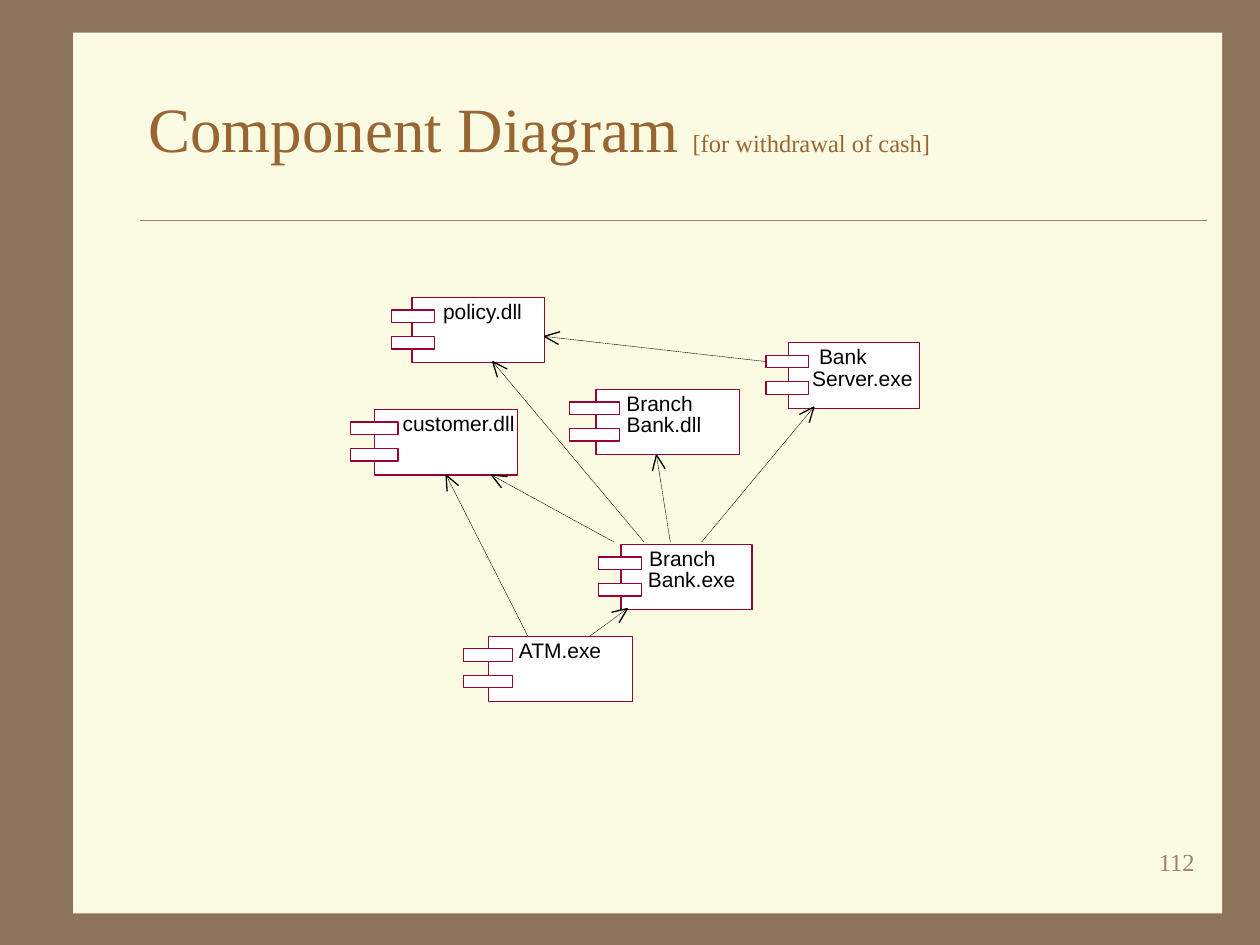
import math
from dataclasses import dataclass

import pptx
import pptx.dml.color
import pptx.enum.dml
import pptx.enum.shapes
import pptx.enum.text
import pptx.oxml.ns
import pptx.util
from lxml import etree
from pptx.util import Inches

ALIGN = pptx.enum.text.PP_ALIGN
ANCHOR = pptx.enum.text.MSO_ANCHOR
AUTO_SIZE = pptx.enum.text.MSO_AUTO_SIZE


@dataclass(frozen=True)
class Theme:
    frame: str = "8C735A"
    paper: str = "FBFAE2"
    rule: str = "A08366"
    title: str = "996633"
    outline: str = "990033"
    white: str = "FFFFFF"
    ink: str = "000000"
    serif: str = "Times New Roman"
    sans: str = "Arial"
    title_size: int = 36
    gap_size: int = 32
    note_size: int = 14
    label_size: int = 12
    stroke: float = 0.75
    hairline: float = 0.25


THEME = Theme()
BODY_H = 0.52
TAB_H = 0.1
TAB_OFFSETS = (0.1, 0.31)
LABEL_H, LABEL_PITCH = 0.2, 0.17
BARB_LENGTH, BARB_SPREAD = 0.13, math.radians(23)

# name: (left, top, width), (tab left, tab width), [(label line, left, width)]
COMPONENTS = {
    "policy": ((3.27, 2.36, 1.05), (3.11, 0.34), [("policy.dll", 3.5, 0.66)]),
    "branch_dll": ((4.73, 3.09, 1.14), (4.52, 0.4),
                   [("Branch", 4.96, 0.55), ("Bank.dll", 4.96, 0.62)]),
    "customer": ((2.97, 3.25, 1.14), (2.78, 0.38), [("customer.dll", 3.18, 0.92)]),
    "atm": ((3.88, 5.05, 1.14), (3.68, 0.39), [("ATM.exe", 4.1, 0.69)]),
    "branch_exe": ((4.93, 4.32, 1.04), (4.75, 0.34),
                   [("Branch", 5.14, 0.55), ("Bank.exe", 5.13, 0.72)]),
    "server": ((6.26, 2.72, 1.04), (6.08, 0.34),
               [("Bank", 6.49, 0.4), ("Server.exe", 6.43, 0.83)]),
}

# Dependencies whose ends lie freely along the component edges
DEPENDENCIES = [
    ((5.57, 4.3), (6.46, 3.23)),
    ((5.32, 4.3), (5.21, 3.61)),
    ((4.87, 4.3), (3.9, 3.77)),
    ((5.11, 4.3), (3.91, 2.87)),
    ((4.68, 5.05), (4.98, 4.83)),
]


def rgb(value):
    return pptx.dml.color.RGBColor.from_string(value)


def add_box(slide, box, fill, outline=None):
    rect = slide.shapes.add_shape(
        pptx.enum.shapes.MSO_SHAPE.RECTANGLE, *map(Inches, box))
    rect.shadow.inherit = False
    rect.fill.solid()
    rect.fill.fore_color.rgb = rgb(fill)
    if outline:
        rect.line.color.rgb = rgb(outline)
        rect.line.width = pptx.util.Pt(THEME.stroke)
    else:
        rect.line.fill.background()
    return rect


def add_line(slide, start, end, color, width, dashed=False):
    line = slide.shapes.add_connector(
        pptx.enum.shapes.MSO_CONNECTOR.STRAIGHT, *map(Inches, (*start, *end)))
    line.line.color.rgb = rgb(color)
    line.line.width = pptx.util.Pt(width)
    if dashed:
        line.line.dash_style = pptx.enum.dml.MSO_LINE.SQUARE_DOT
        preset = line._element.spPr.find(".//" + pptx.oxml.ns.qn("a:prstDash"))
        preset.set("val", "sysDash")
    etree.SubElement(line._element.spPr, pptx.oxml.ns.qn("a:effectLst"))
    return line


def add_text(slide, box, pieces, font, color, align, margins=(0, 0, 0, 0),
             anchor=ANCHOR.TOP, fit=False):
    """Place one paragraph of (text, size) pieces; fit keeps it on one line."""
    frame = slide.shapes.add_textbox(*map(Inches, box)).text_frame
    frame.word_wrap = not fit
    if fit:
        frame.auto_size = AUTO_SIZE.SHAPE_TO_FIT_TEXT
    frame.vertical_anchor = anchor
    (frame.margin_left, frame.margin_top,
     frame.margin_right, frame.margin_bottom) = map(Inches, margins)
    paragraph = frame.paragraphs[0]
    paragraph.alignment = align
    for text, size in pieces:
        run = paragraph.add_run()
        run.text = text
        run.font.name = font
        run.font.size = pptx.util.Pt(size)
        run.font.color.rgb = rgb(color)


def add_backdrop(slide, box):
    slide.background.fill.solid()
    slide.background.fill.fore_color.rgb = rgb(THEME.frame)
    add_box(slide, box, THEME.paper)


def add_title(slide, box):
    left, top, width, height = box
    bottom = top + height
    add_line(slide, (left + 0.03, bottom), (left + width, bottom),
             THEME.rule, THEME.hairline)
    pieces = [("Component Diagram", THEME.title_size), (" ", THEME.gap_size),
              ("[for withdrawal of cash]", THEME.note_size)]
    add_text(slide, box, pieces, THEME.serif, THEME.title, ALIGN.LEFT,
             margins=(0.1, 0.05, 0.1, 0.28), anchor=ANCHOR.MIDDLE)


def add_page_number(slide, box):
    add_text(slide, box, [("112", THEME.note_size)], THEME.serif, THEME.rule,
             ALIGN.RIGHT, margins=(0.1, 0.05, 0.1, 0.05))


def add_component(slide, body_box, tab_span, label_lines):
    """Draw a component and return its body and two tabs."""
    left, top, width = body_box
    tab_left, tab_width = tab_span
    body = add_box(slide, (left, top, width, BODY_H), THEME.white, THEME.outline)
    tabs = [add_box(slide, (tab_left, top + offset, tab_width, TAB_H),
                    THEME.white, THEME.outline) for offset in TAB_OFFSETS]
    for row, (text, label_left, label_width) in enumerate(label_lines):
        label_box = (label_left, top + 0.01 + row * LABEL_PITCH,
                     label_width, LABEL_H)
        add_text(slide, label_box, [(text, THEME.label_size)], THEME.sans,
                 THEME.ink, ALIGN.CENTER, fit=True)
    return body, tabs


def add_dependency(slide, start, end, source=None, target=None):
    """Dashed shaft with an open head; source and target are (shape, site)."""
    shaft = add_line(slide, start, end, THEME.ink, THEME.hairline, dashed=True)
    if source:
        shaft.begin_connect(*source)
    if target:
        shaft.end_connect(*target)
    tip_x, tip_y = shaft.end_x.inches, shaft.end_y.inches
    back = math.atan2(shaft.begin_y.inches - tip_y, shaft.begin_x.inches - tip_x)
    for angle in (back - BARB_SPREAD, back + BARB_SPREAD):
        barb_end = (tip_x + BARB_LENGTH * math.cos(angle),
                    tip_y + BARB_LENGTH * math.sin(angle))
        add_line(slide, (tip_x, tip_y), barb_end, THEME.ink, THEME.stroke)


def add_component_diagram(slide):
    parts = {name: add_component(slide, *layout)
             for name, layout in COMPONENTS.items()}
    for start, end in DEPENDENCIES:
        add_dependency(slide, start, end)
    # Dependencies joined to the middle of a side
    server_tabs = parts["server"][1]
    customer_body = parts["customer"][0]
    add_dependency(slide, (6.08, 2.87), (4.32, 2.67), source=(server_tabs[0], 1))
    add_dependency(slide, (4.19, 5.05), (3.54, 3.77), target=(customer_body, 2))


def main():
    deck = pptx.Presentation()
    deck.slide_width, deck.slide_height = Inches(10), Inches(7.5)
    slide = deck.slides.add_slide(deck.slide_layouts[6])
    add_backdrop(slide, (0.58, 0.26, 9.12, 6.99))
    add_title(slide, (1.08, 0.5, 8.5, 1.25))
    add_page_number(slide, (7.5, 6.67, 2.08, 0.5))
    add_component_diagram(slide)
    deck.save("out.pptx")


if __name__ == "__main__":
    main()
